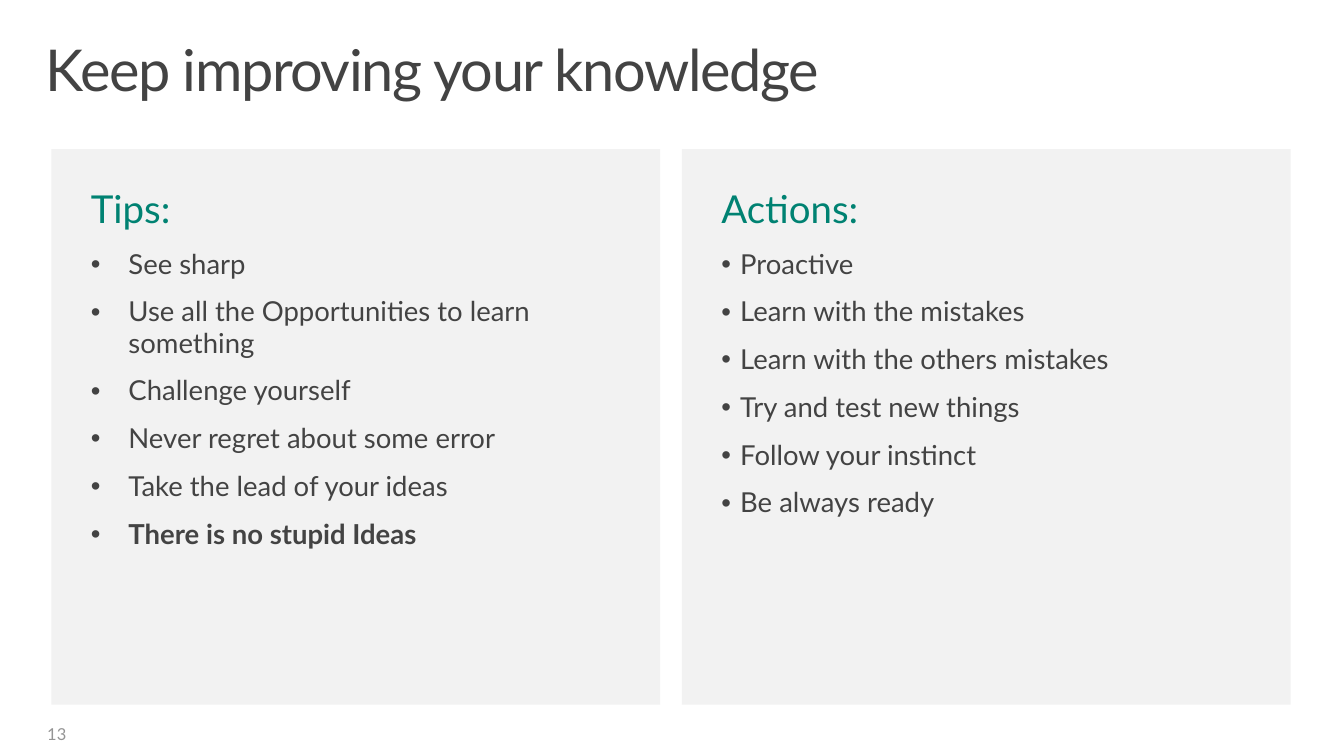
from dataclasses import dataclass, field

from pptx import Presentation
from pptx.dml.color import RGBColor as Rgb
from pptx.enum.shapes import MSO_SHAPE as Shape
from pptx.enum.text import MSO_ANCHOR as Anchor, PP_ALIGN as Align
from pptx.oxml.xmlchemy import OxmlElement as Element
from pptx.slide import Slide
from pptx.text.text import TextFrame as Frame
from pptx.util import Inches, Pt

COLORS = {"ink": "434343", "teal": "008272", "panel": "F2F2F2", "page": "949494"}
FONT = "Lato"
TOP, WIDTH, HEIGHT = 1.51, 6.16, 5.62


@dataclass
class Line:
    text: str
    size: int
    color: str
    bold: bool = False
    indent: float = 0
    track: float = 0
    form: dict = field(default_factory=dict)


@dataclass
class Panel:
    left: float
    head: str
    items: list[str]
    indent: float
    strong: str = ""


PANELS = [
    Panel(0.52, "Tips:", [
        "See sharp",
        "Use all the Opportunities to learn something",
        "Challenge yourself",
        "Never regret about some error",
        "Take the lead of your ideas",
        "There is no stupid Ideas",
    ], 0.38, "There is no stupid Ideas"),
    Panel(6.9, "Actions:", [
        "Proactive",
        "Learn with the mistakes",
        "Learn with the others mistakes",
        "Try and test new things",
        "Follow your instinct",
        "Be always ready",
    ], 0.19),
]


def paint(name: str) -> Rgb:
    return Rgb.from_string(COLORS[name])


def assign(target: object, form: dict) -> None:
    for name, value in form.items():
        setattr(target, name, value)


def write(frame: Frame, lines: list[Line], pads: tuple, anchor: Anchor) -> None:
    """Fill a frame; pads are left, top, right and bottom in inches."""
    sides = ("margin_left", "margin_top", "margin_right", "margin_bottom")
    assign(frame, dict(zip(sides, map(Inches, pads))))
    assign(frame, {"word_wrap": True, "vertical_anchor": anchor})
    for i, line in enumerate(lines):
        para = frame.add_paragraph() if i else frame.paragraphs[0]
        assign(para, {"alignment": Align.LEFT, **line.form})
        if line.indent:
            props = para._p.get_or_add_pPr()
            props.set("marL", str(Inches(line.indent)))
            props.set("indent", str(-Inches(line.indent)))
            face = Element("a:buFont")
            face.set("typeface", "Arial")
            mark = Element("a:buChar")
            mark.set("char", "•")
            props.extend([face, mark])
        run = para.add_run()
        run.text = line.text
        assign(run.font, {"name": FONT, "size": Pt(line.size), "bold": line.bold})
        run.font.color.rgb = paint(line.color)
        if line.track:
            run.font._element.set("spc", str(round(line.track * 100)))


def add_label(slide: Slide, box: tuple, line: Line, pads: tuple, anchor: Anchor) -> None:
    label = slide.shapes.add_textbox(*map(Inches, box))
    write(label.text_frame, [line], pads, anchor)


def add_panel(slide: Slide, panel: Panel) -> None:
    box = map(Inches, (panel.left, TOP, WIDTH, HEIGHT))
    shape = slide.shapes.add_shape(Shape.RECTANGLE, *box)
    shape.shadow.inherit = False
    shape.fill.solid()
    shape.fill.fore_color.rgb = paint("panel")
    shape.line.fill.background()
    form = {"line_spacing": 0.95, "space_after": Pt(12)}
    lines = [Line(panel.head, 28, "teal", form=form)]
    lines += [Line(item, 20, "ink", item == panel.strong, panel.indent, form=form)
              for item in panel.items]
    write(shape.text_frame, lines, (0.4, 0.4, 0.3, 0.12), Anchor.TOP)


def main() -> None:
    deck = Presentation()
    assign(deck, {"slide_width": Inches(13.6), "slide_height": Inches(7.65)})
    slide = deck.slides.add_slide(deck.slide_layouts[6])
    title = Line("Keep improving your knowledge", 42, "ink", track=-1,
                 form={"line_spacing": 0.9})
    add_label(slide, (0.3, 0.32, 13, 1), title, (0.16, 0.1, 0.16, 0.1), Anchor.TOP)
    add_label(slide, (0.38, 7.22, 3.17, 0.41), Line("13", 12, "page"),
              (0.1, 0.05, 0.1, 0.05), Anchor.MIDDLE)
    for panel in PANELS:
        add_panel(slide, panel)
    deck.save("out.pptx")


if __name__ == "__main__":
    main()
